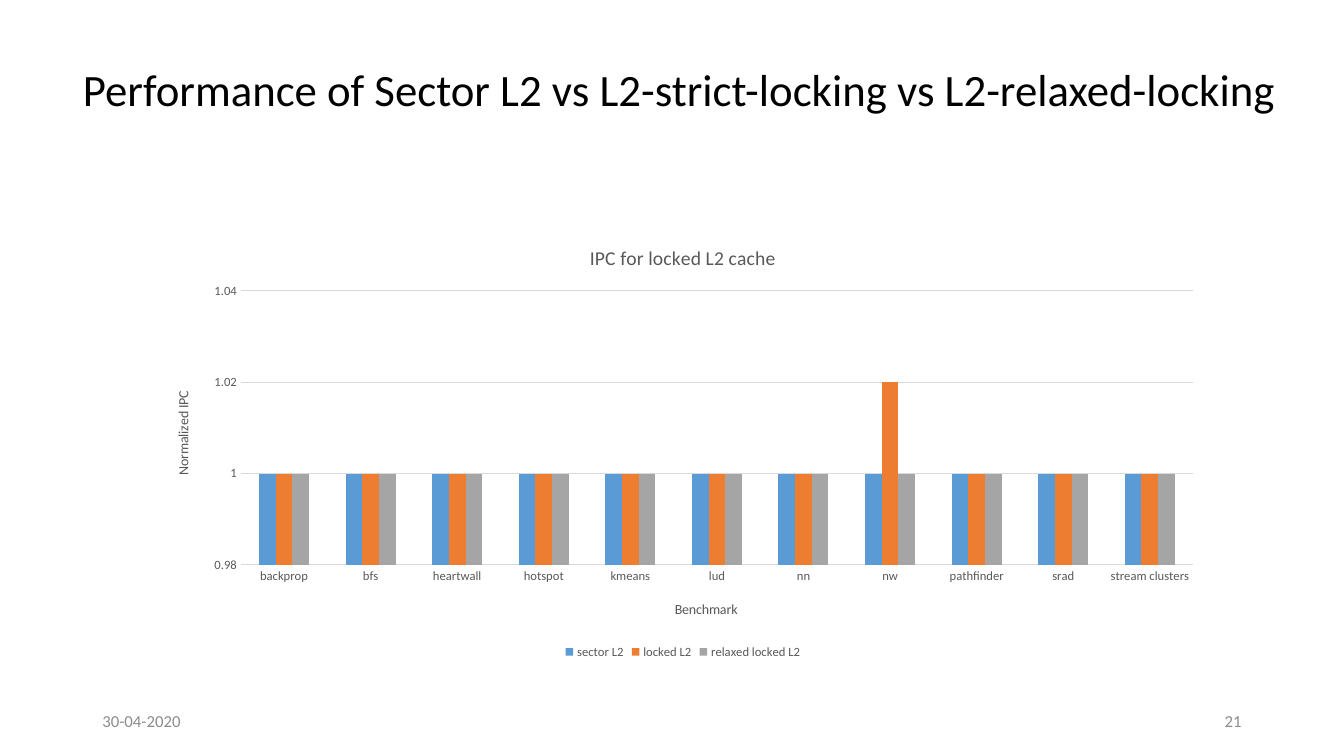
"""Build the slide comparing normalized IPC of three L2 cache schemes."""
from lxml import etree
from pptx import Presentation
from pptx.chart.data import CategoryChartData
from pptx.dml.color import RGBColor as RGB
from pptx.enum.chart import XL_CHART_TYPE as CT, XL_LEGEND_POSITION as LP, XL_TICK_MARK as TM
from pptx.enum.text import MSO_ANCHOR as VA, PP_ALIGN as PA
from pptx.oxml.ns import qn
from pptx.util import Pt

THEME = {
    "font": "Calibri", "black": RGB(0, 0, 0), "footer": RGB(0x8C, 0x8C, 0x8C),
    "label": RGB(0x59, 0x59, 0x59), "grid": RGB(0xD9, 0xD9, 0xD9),
    "series": [RGB(0x5B, 0x9B, 0xD5), RGB(0xED, 0x7D, 0x31), RGB(0xA5, 0xA5, 0xA5)],
    "title_size": 32, "footer_size": 12, "chart_title_size": 14,
    "axis_title_size": 10, "label_size": 9,
}


def write(tf, text, size, color, align=PA.LEFT, spacing=None):
    p = tf.paragraphs[0]
    p.alignment, p.line_spacing = align, spacing
    r = p.add_run()
    r.text = text
    r.font.name, r.font.size, r.font.bold = THEME["font"], Pt(size), False
    r.font.color.rgb = color


def place(parent, index, **fractions):
    for old in parent.findall(qn("c:layout")):
        parent.remove(old)
    layout = etree.Element(qn("c:layout"))
    manual = etree.SubElement(layout, qn("c:manualLayout"))
    if "w" in fractions:
        etree.SubElement(manual, qn("c:layoutTarget")).set("val", "inner")
    for key in ("x", "y"):
        etree.SubElement(manual, qn(f"c:{key}Mode")).set("val", "edge")
    for key, value in fractions.items():
        etree.SubElement(manual, qn(f"c:{key}")).set("val", str(value))
    parent.insert(index, layout)


prs = Presentation()
prs.slide_width, prs.slide_height = Pt(960), Pt(540)
s = prs.slides.add_slide(prs.slide_layouts[5])

title = s.shapes.title
title.left, title.top, title.width, title.height = Pt(28), Pt(0), Pt(915), Pt(132)
title.text_frame.vertical_anchor = VA.MIDDLE
write(title.text_frame, "Performance of Sector L2 vs L2-strict-locking vs L2-relaxed-locking",
      THEME["title_size"], THEME["black"], PA.CENTER, 0.9)

for left, text, align in ((66, "30-04-2020", PA.LEFT), (678, "21", PA.RIGHT)):
    tf = s.shapes.add_textbox(Pt(left), Pt(500.5), Pt(216), Pt(28.8)).text_frame
    tf.word_wrap, tf.vertical_anchor = True, VA.MIDDLE
    write(tf, text, THEME["footer_size"], THEME["footer"], align)

data = CategoryChartData()
data.categories = ["backprop", "bfs", "heartwall", "hotspot", "kmeans", "lud", "nn", "nw",
                   "pathfinder", "srad", "stream clusters"]
baseline = [1] * 11
data.add_series("sector L2", baseline)
data.add_series("locked L2", [1] * 7 + [1.02] + [1] * 3)
data.add_series("relaxed locked L2", baseline)
chart = s.shapes.add_chart(CT.COLUMN_CLUSTERED, Pt(107.3), Pt(162), Pt(761), Pt(311.8), data).chart
chart.font.name, chart.font.size = THEME["font"], Pt(THEME["label_size"])
chart.font.color.rgb = THEME["label"]
chart.has_title = True
write(chart.chart_title.text_frame, "IPC for locked L2 cache",
      THEME["chart_title_size"], THEME["label"], PA.CENTER)
chart.has_legend = True
chart.legend.position, chart.legend.include_in_layout = LP.BOTTOM, False

plot = chart.plots[0]
plot.gap_width, plot.overlap, plot.vary_by_categories = 219, 0, False
for series, color in zip(plot.series, THEME["series"]):
    series.format.fill.solid()
    series.format.fill.fore_color.rgb = color

cat_axis, val_axis = chart.category_axis, chart.value_axis
for axis, text, x, y in ((cat_axis, "Benchmark", 0.49, 0.85),
                         (val_axis, "Normalized IPC", 0.02, 0.37)):
    axis.major_tick_mark = axis.minor_tick_mark = TM.NONE
    write(axis.axis_title.text_frame, text, THEME["axis_title_size"], THEME["label"], PA.CENTER)
    place(axis.axis_title._element, 1, x=x, y=y)
val_axis.axis_title.text_frame._txBody.bodyPr.set("rot", "-5400000")
val_axis.minimum_scale, val_axis.maximum_scale, val_axis.major_unit = 0.98, 1.04, 0.02
val_axis.format.line.fill.background()
for line in (cat_axis.format.line, val_axis.major_gridlines.format.line):
    line.color.rgb, line.width = THEME["grid"], Pt(0.75)
place(chart._chartSpace.chart.plotArea, 0, x=0.085, y=0.147, w=0.894, h=0.628)

prs.save("out.pptx")
